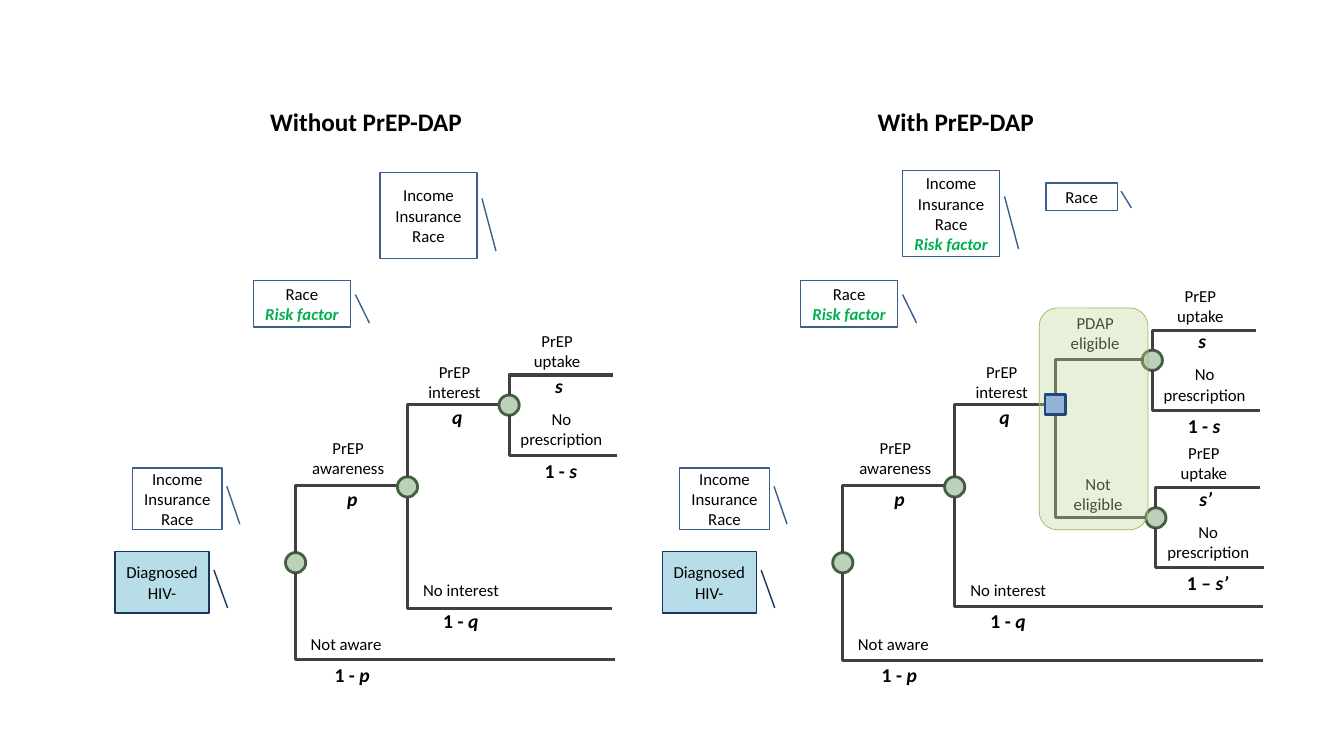
from lxml import etree
from pptx import Presentation
from pptx.dml.color import RGBColor
from pptx.enum.shapes import MSO_CONNECTOR, MSO_SHAPE
from pptx.enum.text import MSO_ANCHOR, MSO_AUTO_SIZE, PP_ALIGN
from pptx.oxml.ns import qn
from pptx.util import Cm, Pt

BLACK = RGBColor(0x00, 0x00, 0x00)
WHITE = RGBColor(0xFF, 0xFF, 0xFF)
RISK_GREEN = RGBColor(0x00, 0xB0, 0x50)
BRANCH_GRAY = RGBColor(0x40, 0x40, 0x40)
NODE_FILL = RGBColor(0xBC, 0xD0, 0xBA)
NODE_LINE = RGBColor(0x43, 0x5E, 0x40)
DECISION_FILL = RGBColor(0x95, 0xB3, 0xD7)
DECISION_LINE = RGBColor(0x1F, 0x49, 0x7D)
CALLOUT_LINE = RGBColor(0x3A, 0x5F, 0x8C)
DIAGNOSED_FILL = RGBColor(0xB7, 0xDE, 0xE8)
DIAGNOSED_LINE = RGBColor(0x17, 0x37, 0x5E)
PROGRAM_FILL = RGBColor(0xC3, 0xD6, 0x9B)
PROGRAM_LINE = RGBColor(0x9B, 0xBB, 0x59)

CENTER, LEFT = PP_ALIGN.CENTER, PP_ALIGN.LEFT
TOP, MIDDLE = MSO_ANCHOR.TOP, MSO_ANCHOR.MIDDLE
ELLIPSE, SQUARE = MSO_SHAPE.OVAL, MSO_SHAPE.RECTANGLE
ROUNDED, CALLOUT = MSO_SHAPE.ROUNDED_RECTANGLE, MSO_SHAPE.LINE_CALLOUT_1
ELBOW = MSO_CONNECTOR.ELBOW
COMPARISON_LAYOUT = 4
CALLOUT_POINTS = (0.301, 1.052, 0.916, 1.197)
TOP_SITE, BOTTOM_SITE, ELLIPSE_BOTTOM_SITE = 0, 2, 4

# All positions are in centimetres.
NODE_SIZE = 0.51
COLUMN_SHIFT = 13.79
RISK_FACTOR = "Risk factor"

# placeholder index, text, left
HEADINGS = [(1, "Without PrEP-DAP", 3.75), (3, "With PrEP-DAP", 18.61)]

# Per column: shift, ends of the "Not aware" and "No interest" branches
COLUMNS = [
    (0, (15.49, 16.61), (15.42, 15.34)),
    (COLUMN_SHIFT, (31.83, 16.64), (31.83, 15.29)),
]
AWARENESS_NODE, AWARE_END = (7.45, 14.18), (10.08, 12.24)
INTEREST_NODE, INTERESTED_END = (10.27, 12.27), (12.55, 10.19)

# text, left, top, width, height, alignment
COLUMN_LABELS = [
    ("PrEP awareness", 7.57, 10.9, 2.41, 1.27, CENTER),
    ("Not aware", 7.58, 15.85, 3.05, 0.76, LEFT),
    ("PrEP interest", 10.35, 8.99, 2.21, 1.27, CENTER),
    ("No interest", 10.02, 14.48, 3.2, 0.76, CENTER),
]
# prefix, symbol, left, top, width
COLUMN_ODDS = [
    ("", "p", 7.9, 12.14, 1.96),
    ("1 - ", "p", 7.95, 16.59, 1.85),
    ("", "q", 10.93, 10.08, 1.19),
    ("1 - ", "q", 10.69, 15.21, 1.85),
]
# lines, left, top, width, height
COLUMN_CALLOUTS = [
    (["Income", "Insurance", "Race"], 3.34, 11.79, 2.26, 1.55),
    (["Race", RISK_FACTOR], 6.39, 7.07, 2.44, 1.17),
]
DIAGNOSED = (["Diagnosed HIV-"], 2.9, 13.9, 2.37, 1.55)
UPTAKE_CALLOUTS = [
    (["Income", "Insurance", "Race"], 9.58, 4.35, 2.44, 2.16),
    (["Income", "Insurance", "Race", RISK_FACTOR], 22.75, 4.3, 2.44, 2.16),
    (["Race"], 26.36, 4.61, 1.8, 0.69),
]
# node, symbol, prefix of the complement
UPTAKE_FORKS = [
    ((12.83, 10.21), "s", "1 - "),
    ((29.04, 9.08), "s", "1 - "),
    ((29.13, 13.05), "s’", "1 – "),
]
DECISION_NODE = (26.59, 10.19)
ELIGIBLE_END, NOT_ELIGIBLE_END = (28.83, 9.06), (28.88, 13.04)
PROGRAM_LABELS = [
    ("PDAP eligible", 26.7, 7.76, 1.8, 1.27),
    ("Not eligible", 26.57, 11.81, 2.21, 1.27),
]
PROGRAM_AREA = (26.19, 7.76, 2.74, 5.59)


def write(frame, text, prefix="", size=12, bold=False, italic=False,
          color=BLACK, align=CENTER, anchor=TOP, new=True):
    """Write one paragraph; new=False adds it below the existing text."""
    frame.word_wrap = True
    frame.vertical_anchor = anchor
    paragraph = frame.paragraphs[0] if new else frame.add_paragraph()
    paragraph.alignment = align
    paragraph.space_before = Pt(0)
    for part, slanted in ((prefix, False), (text, italic)):
        if part:
            run = paragraph.add_run()
            run.text = part
            run.font.name = "Calibri"
            run.font.size = Pt(size)
            run.font.bold = bold
            run.font.italic = slanted
            run.font.color.rgb = color


def add_label(slide, text, left, top, width, height, **text_format):
    box = slide.shapes.add_textbox(Cm(left), Cm(top), Cm(width), Cm(height))
    write(box.text_frame, text, **text_format)


def add_odds(slide, prefix, symbol, left, top, width):
    add_label(slide, symbol, left, top, width, 0.86, prefix=prefix,
              size=14, bold=True, italic=True)


def add_outlined(slide, kind, left, top, width, height, fill, line, weight):
    shape = slide.shapes.add_shape(kind, Cm(left), Cm(top), Cm(width), Cm(height))
    shape.shadow.inherit = False
    if fill is None:
        shape.fill.background()
    else:
        shape.fill.solid()
        shape.fill.fore_color.rgb = fill
    shape.line.color.rgb = line
    shape.line.width = Pt(weight)
    return shape


def add_callout(slide, lines, left, top, width, height, fill=None, line=CALLOUT_LINE):
    callout = add_outlined(slide, CALLOUT, left, top, width, height, fill, line, 1)
    for index, point in enumerate(CALLOUT_POINTS):
        callout.adjustments[index] = point
    for index, text in enumerate(lines):
        risk = text == RISK_FACTOR
        write(callout.text_frame, text, bold=risk, italic=risk, anchor=MIDDLE,
              color=RISK_GREEN if risk else BLACK, new=index == 0)


def add_branch(slide, node, x, y, end, upward):
    """Glue a one-bend connector to the node's top or bottom, ending at end."""
    branch = slide.shapes.add_connector(ELBOW, Cm(x), Cm(y), Cm(end[0]), Cm(end[1]))
    branch.begin_connect(node, TOP_SITE if upward else BOTTOM_SITE)
    if not upward and node.auto_shape_type == ELLIPSE:
        branch.element.find(".//" + qn("a:stCxn")).set("idx", str(ELLIPSE_BOTTOM_SITE))
    run, rise = end[0] - x, abs(end[1] - y)
    # The frame is turned a quarter, so its width is the rise.
    branch.left, branch.top = Cm((x + end[0] - rise) / 2), Cm((y + end[1] - run) / 2)
    branch.width, branch.height = Cm(rise), Cm(run)
    properties = branch.element.spPr
    frame = properties.find(qn("a:xfrm"))
    frame.set("rot", "5400000" if upward else "16200000")
    frame.set("flipH", "1")
    frame.set("flipV", "1" if upward else "0")
    properties.find(qn("a:prstGeom")).set("prst", "bentConnector2")
    branch.line.color.rgb = BRANCH_GRAY
    branch.line.width = Pt(2.25)
    etree.SubElement(properties, qn("a:effectLst"))


def add_fork(slide, center, upper_end, lower_end, kind=ELLIPSE,
             fill=NODE_FILL, line=NODE_LINE):
    x, y = center
    half = NODE_SIZE / 2
    node = add_outlined(slide, kind, x - half, y - half, NODE_SIZE, NODE_SIZE, fill, line, 2)
    add_branch(slide, node, x, y - half, upper_end, True)
    add_branch(slide, node, x, y + half, lower_end, False)
    return node


def add_headings(slide):
    used = [index for index, _, _ in HEADINGS]
    for placeholder in list(slide.placeholders):
        if placeholder.placeholder_format.idx not in used:
            placeholder.element.getparent().remove(placeholder.element)
    headings = {p.placeholder_format.idx: p for p in slide.placeholders}
    for index, text, left in HEADINGS:
        heading = headings[index]
        heading.left, heading.top = Cm(left), Cm(2.19)
        heading.width, heading.height = Cm(10.95), Cm(1.73)
        heading.fill.solid()
        heading.fill.fore_color.rgb = WHITE
        heading.text_frame.auto_size = MSO_AUTO_SIZE.NONE
        write(heading.text_frame, text, size=18, bold=True, anchor=MIDDLE)


def add_column(slide, shift, not_aware_end, no_interest_end):
    for node, upper, lower in ((AWARENESS_NODE, AWARE_END, not_aware_end),
                               (INTEREST_NODE, INTERESTED_END, no_interest_end)):
        add_fork(slide, (node[0] + shift, node[1]), (upper[0] + shift, upper[1]), lower)
    for text, left, top, width, height, align in COLUMN_LABELS:
        add_label(slide, text, left + shift, top, width, height, align=align)
    for prefix, symbol, left, top, width in COLUMN_ODDS:
        add_odds(slide, prefix, symbol, left + shift, top, width)
    for lines, left, *rest in COLUMN_CALLOUTS:
        add_callout(slide, lines, left + shift, *rest)
    lines, left, *rest = DIAGNOSED
    add_callout(slide, lines, left + shift, *rest, fill=DIAGNOSED_FILL, line=DIAGNOSED_LINE)


def add_uptake_fork(slide, node, symbol, complement):
    x, y = node
    add_fork(slide, node, (x + 2.62, y - 0.76), (x + 2.72, y + 1.26))
    add_label(slide, "PrEP uptake", x + 0.36, y - 2.01, 1.7, 1.27)
    add_label(slide, "No prescription", x - 0.05, y - 0.03, 2.74, 1.27)
    add_odds(slide, "", symbol, x + 0.66, y - 0.91, 1.19)
    add_odds(slide, complement, symbol, x + 0.38, y + 1.22, 1.85)


def main():
    deck = Presentation()
    deck.slide_width, deck.slide_height = Cm(33.87), Cm(19.05)
    slide = deck.slides.add_slide(deck.slide_layouts[COMPARISON_LAYOUT])
    add_headings(slide)
    for column in COLUMNS:
        add_column(slide, *column)
    for callout in UPTAKE_CALLOUTS:
        add_callout(slide, *callout)
    for fork in UPTAKE_FORKS:
        add_uptake_fork(slide, *fork)
    for label in PROGRAM_LABELS:
        add_label(slide, *label)
    decision = add_fork(slide, DECISION_NODE, ELIGIBLE_END, NOT_ELIGIBLE_END,
                        SQUARE, DECISION_FILL, DECISION_LINE)
    program = add_outlined(slide, ROUNDED, *PROGRAM_AREA, PROGRAM_FILL, PROGRAM_LINE, 0.5)
    tint = program.element.spPr.find(qn("a:solidFill"))[0]
    etree.SubElement(tint, qn("a:alpha")).set("val", "36000")
    program.element.addnext(decision.element)
    deck.save("out.pptx")


if __name__ == "__main__":
    main()
